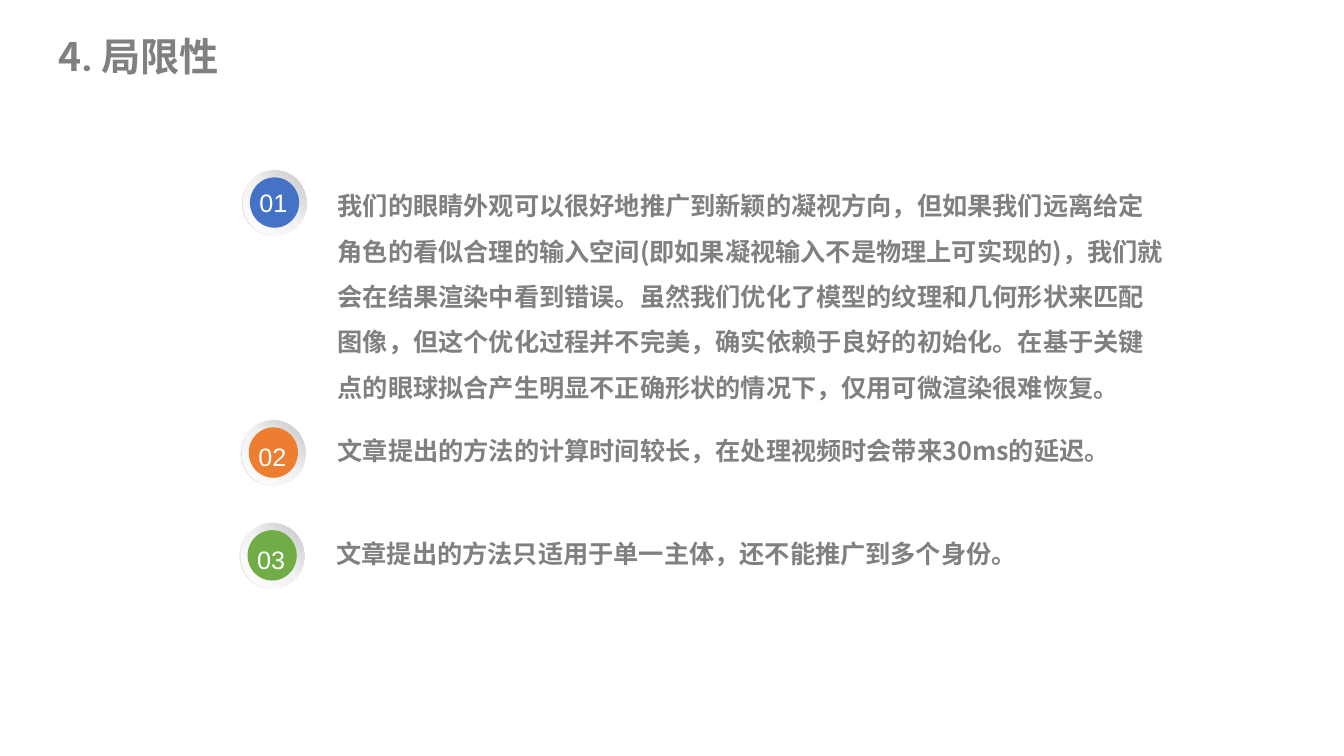
from dataclasses import dataclass

from lxml import etree
from pptx import Presentation
from pptx.dml import color
from pptx.enum import shapes, text
from pptx.oxml import ns
from pptx.util import Cm, Pt

CJK_FONT = "Noto Sans CJK SC"
GREY = "808080"
WHITE = "FFFFFF"


@dataclass
class Limitation:
    number: str
    accent: str
    left: float
    top: float
    label_dy: float
    body_left: float
    body_top: float
    body_width: float
    body_height: float
    body: str


@dataclass
class BadgeLayer:
    """One disc of a badge; angle is counter-clockwise, stops are (percent, colour)."""
    kind: shapes.MSO_SHAPE
    offset: float
    width: float
    height: float
    angle: int = 0
    stops: tuple = ()


LIMITATIONS = [
    Limitation("01", "4472C4", 6.1, 4.27, 0.33, 8.26, 4.42, 21.34, 5.64,
               "我们的眼睛外观可以很好地推广到新颖的凝视方向，但如果我们远离给定角色的看似合理的输入空间"
               "(即如果凝视输入不是物理上可实现的)，我们就会在结果渲染中看到错误。"
               "虽然我们优化了模型的纹理和几何形状来匹配图像，但这个优化过程并不完美，"
               "确实依赖于良好的初始化。在基于关键点的眼球拟合产生明显不正确形状的情况下，"
               "仅用可微渲染很难恢复。"),
    Limitation("02", "ED7D31", 6.07, 10.57, 0.43, 8.26, 10.59, 20.93, 1.02,
               "文章提出的方法的计算时间较长，在处理视频时会带来30ms的延迟。"),
    Limitation("03", "70AD47", 6.04, 13.16, 0.43, 8.23, 13.18, 20.93, 1.02,
               "文章提出的方法只适用于单一主体，还不能推广到多个身份。"),
]

BADGE_LAYERS = [
    BadgeLayer(shapes.MSO_SHAPE.DONUT, 0, 1.63, 1.68, 225,
               ((0, "F2F2F2"), (55, "F2F2F2"), (100, "D9D9D9"))),
    BadgeLayer(shapes.MSO_SHAPE.OVAL, 0.03, 1.6, 1.65, 45,
               ((0, WHITE), (51, "F2F2F2"), (100, "C5C5C5"))),
    BadgeLayer(shapes.MSO_SHAPE.OVAL, 0.2, 1.24, 1.27),
]


def rgb(value: str) -> color.RGBColor:
    return color.RGBColor.from_string(value)


def fill_gradient(shape, angle: int, stops: tuple) -> None:
    shape.fill.gradient()
    shape.fill.gradient_angle = angle
    stop_list = shape._element.spPr.find(".//" + ns.qn("a:gsLst"))
    for old_stop in list(stop_list):
        stop_list.remove(old_stop)
    for percent, value in stops:
        stop = etree.SubElement(stop_list, ns.qn("a:gs"), pos=str(percent * 1000))
        etree.SubElement(stop, ns.qn("a:srgbClr"), val=value)


def add_span(para, words: str, *, size: float, font: str, colour: str, bold: bool) -> None:
    span = para.add_run()
    span.text = words
    span.font.size = Pt(size)
    span.font.name = font
    span.font.bold = bold
    span.font.color.rgb = rgb(colour)
    east_asian = etree.SubElement(span._r.get_or_add_rPr(), ns.qn("a:ea"))
    east_asian.set("typeface", CJK_FONT)


def add_text(page, spans: list[tuple[str, str]], left: float, top: float,
             width: float, height: float, *, size: float = 18, colour: str = GREY,
             bold: bool = True, align=text.PP_ALIGN.LEFT, spacing: float = 1,
             inset: float = 0.13) -> None:
    """Add one paragraph made of (words, font) spans."""
    box = page.shapes.add_textbox(Cm(left), Cm(top), Cm(width), Cm(height))
    frame = box.text_frame
    frame.word_wrap = True
    frame.auto_size = text.MSO_AUTO_SIZE.SHAPE_TO_FIT_TEXT
    frame.margin_top = frame.margin_bottom = Cm(inset)
    para = frame.paragraphs[0]
    para.alignment = align
    para.line_spacing = spacing
    for words, font in spans:
        add_span(para, words, size=size, font=font, colour=colour, bold=bold)


def add_badge(page, item: Limitation) -> None:
    for layer in BADGE_LAYERS:
        disc = page.shapes.add_shape(
            layer.kind, Cm(item.left + layer.offset), Cm(item.top + layer.offset),
            Cm(layer.width), Cm(layer.height))
        disc.shadow.inherit = False
        disc.line.fill.background()
        if layer.kind == shapes.MSO_SHAPE.DONUT:
            disc.adjustments[0] = 0.049
        if layer.stops:
            fill_gradient(disc, layer.angle, layer.stops)
        else:
            disc.fill.solid()
            disc.fill.fore_color.rgb = rgb(item.accent)
    add_text(page, [(item.number, "Arial")], item.left + 0.19, item.top + item.label_dy,
             1.45, 1.02, colour=WHITE, bold=False)


def main() -> None:
    deck = Presentation()
    deck.slide_width, deck.slide_height = Cm(33.87), Cm(19.05)
    page = deck.slides.add_slide(deck.slide_layouts[6])
    add_text(page, [("4", CJK_FONT), (". 局限性", "Roboto Condensed")],
             0.36, 0.69, 6.27, 1.45, size=28, align=text.PP_ALIGN.CENTER)
    for item in LIMITATIONS:
        add_badge(page, item)
        add_text(page, [(item.body, CJK_FONT)], item.body_left, item.body_top,
                 item.body_width, item.body_height, spacing=1.5, inset=0)
    deck.save("out.pptx")


if __name__ == "__main__":
    main()
